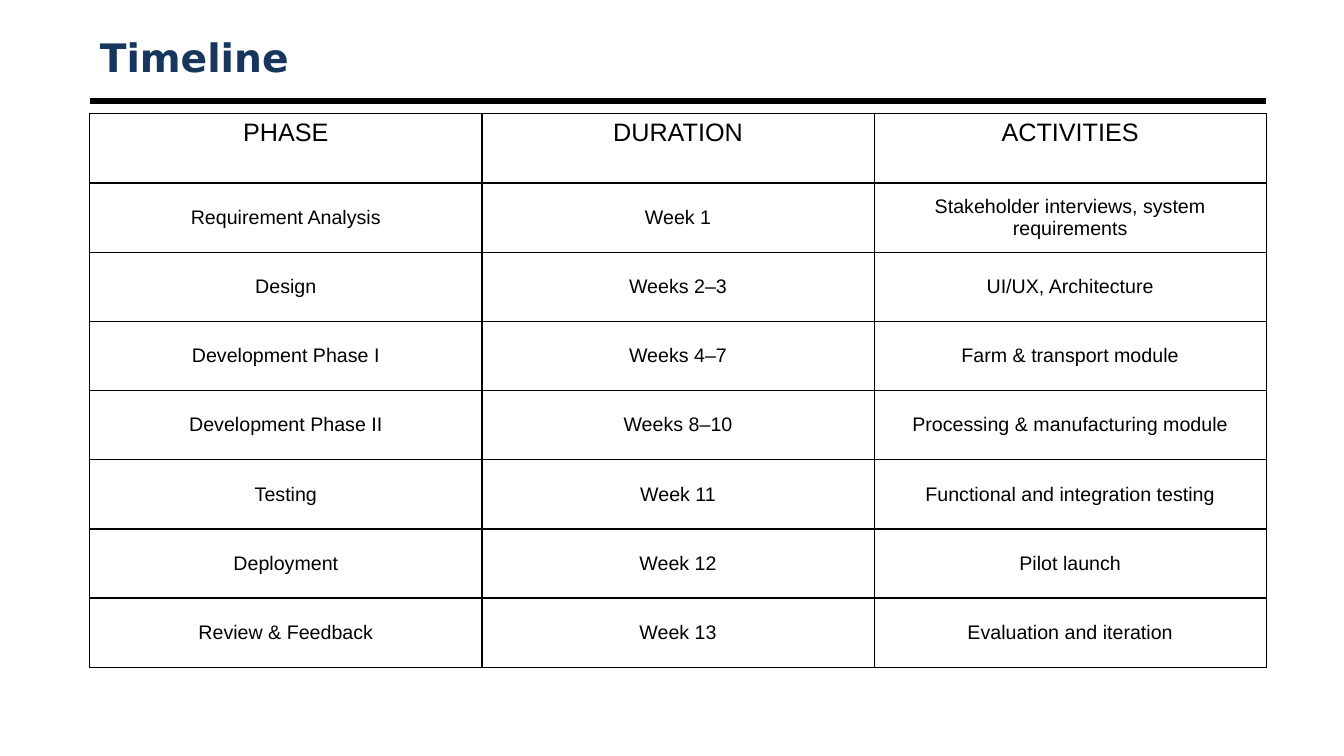
from lxml.etree import SubElement
from pptx import Presentation
from pptx.dml.color import RGBColor
from pptx.enum.shapes import MSO_CONNECTOR
from pptx.enum.text import MSO_ANCHOR, PP_ALIGN
from pptx.oxml.ns import qn
from pptx.util import Inches, Pt

LEFT, WIDTH = 0.89, 11.67
TABLE_TOP, TABLE_HEIGHT = 1.13, 5.49
BLACK, WHITE, NAVY = "000000", "FFFFFF", "17365D"

SCHEDULE = [
    ("PHASE", "DURATION", "ACTIVITIES"),
    ("Requirement Analysis", "Week 1", "Stakeholder interviews, system requirements"),
    ("Design", "Weeks 2–3", "UI/UX, Architecture"),
    ("Development Phase I", "Weeks 4–7", "Farm & transport module"),
    ("Development Phase II", "Weeks 8–10", "Processing & manufacturing module"),
    ("Testing", "Week 11", "Functional and integration testing"),
    ("Deployment", "Week 12", "Pilot launch"),
    ("Review & Feedback", "Week 13", "Evaluation and iteration"),
]


def color(value):
    return RGBColor.from_string(value)


def write_text(frame, text, size, font="Arial", fill=BLACK, bold=False,
               align=PP_ALIGN.CENTER):
    para = frame.paragraphs[0]
    para.alignment = align
    span = para.add_run()
    span.text = text
    span.font.name = font
    span.font.size = Pt(size)
    span.font.bold = bold
    span.font.color.rgb = color(fill)


def add_title(page, text):
    title = page.shapes.title
    title.left, title.top = Inches(LEFT), Inches(0.3)
    title.width, title.height = Inches(WIDTH), Inches(0.53)
    title.text_frame.vertical_anchor = MSO_ANCHOR.MIDDLE
    write_text(title.text_frame, text, 28, font="DejaVu Sans", fill=NAVY,
               bold=True, align=PP_ALIGN.LEFT)


def add_rule(page, top):
    """Draw the heavy line under the title."""
    rule = page.shapes.add_connector(MSO_CONNECTOR.STRAIGHT, Inches(LEFT), Inches(top),
                                     Inches(LEFT + WIDTH), Inches(top))
    rule.line.color.rgb = color(BLACK)
    rule.line.width = Pt(4.5)
    SubElement(rule._element.spPr, qn("a:effectLst"))


def set_borders(cell, fill=BLACK, width=1):
    properties = cell._tc.get_or_add_tcPr()
    for position, side in enumerate(("lnL", "lnR", "lnT", "lnB")):
        border = SubElement(properties, qn(f"a:{side}"), w=str(Pt(width)))
        solid = SubElement(border, qn("a:solidFill"))
        SubElement(solid, qn("a:srgbClr"), val=fill)
        properties.insert(position, border)


def add_schedule(page, rows):
    frame = page.shapes.add_table(len(rows), len(rows[0]), Inches(LEFT), Inches(TABLE_TOP),
                                  Inches(WIDTH), Inches(TABLE_HEIGHT))
    table = frame.table
    table.first_row = table.horz_banding = False
    for row_index, row in enumerate(rows):
        header = row_index == 0
        for column_index, text in enumerate(row):
            cell = table.cell(row_index, column_index)
            cell.fill.solid()
            cell.fill.fore_color.rgb = color(WHITE)
            cell.vertical_anchor = MSO_ANCHOR.TOP if header else MSO_ANCHOR.MIDDLE
            write_text(cell.text_frame, text, 18 if header else 14)
            set_borders(cell)


def main():
    deck = Presentation()
    deck.slide_width, deck.slide_height = Inches(13.33), Inches(7.5)
    page = deck.slides.add_slide(deck.slide_layouts[5])
    add_rule(page, 1)
    add_title(page, "Timeline")
    add_schedule(page, SCHEDULE)
    deck.save("out.pptx")


if __name__ == "__main__":
    main()
